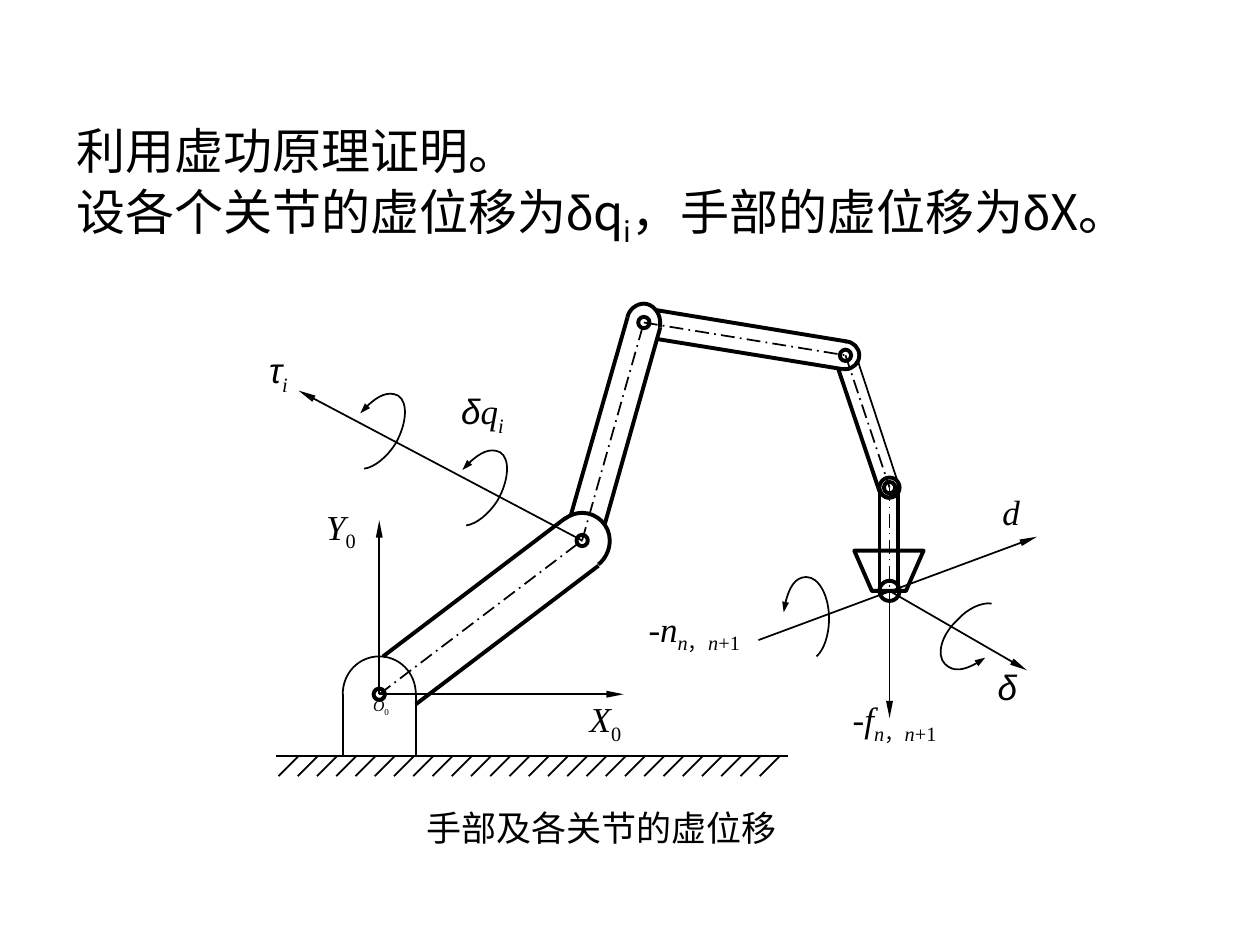
from typing import NamedTuple

from lxml.etree import SubElement
from pptx import Presentation
from pptx.dml.color import RGBColor
from pptx.enum.dml import MSO_LINE
from pptx.enum.shapes import MSO_CONNECTOR, MSO_SHAPE
from pptx.enum.text import MSO_ANCHOR, MSO_AUTO_SIZE, PP_ALIGN
from pptx.oxml.ns import qn
from pptx.util import Inches, Pt

BLACK = RGBColor(0, 0, 0)
SANS, CJK, SERIF = "Arial", "Noto Sans CJK SC", "Times New Roman"
THIN, THICK = 1, 2.25
Point = tuple[float, float]


class Run(NamedTuple):
    text: str
    font: str = SERIF
    italic: bool = False
    sub: bool = False


class Label(NamedTuple):
    box: tuple[float, float, float, float]
    runs: list[Run]
    size: int = 20


class Line(NamedTuple):
    start: Point
    end: Point
    width: float = THIN
    arrow: bool = False
    dashed: bool = False


class Curve(NamedTuple):
    """Start point, then three Bezier points for each segment."""
    points: list[Point]
    width: float = THIN
    arrow: bool = False


class Ring(NamedTuple):
    center: Point
    size: float = 0.09


BASE, ELBOW, TOP = (3.01, 5.51), (4.62, 4.29), (5.11, 2.56)
SHOULDER, WRIST, HAND = (6.71, 2.82), (7.06, 3.87), (7.06, 4.69)
GROUND_Y, HATCH_BOTTOM = 6, 6.16
HATCHES, HATCH_FIRST, HATCH_LAST, HATCH_SLANT = 26, 2.37, 6.19, 0.16

BODY = [
    [Run("利用虚功原理证明。", CJK)],
    [Run("设各个关节的虚位移为", CJK), Run("δ", SANS), Run("q", CJK),
     Run("i", CJK, sub=True), Run("，手部的虚位移为", CJK), Run("δ", SANS), Run("X。", CJK)],
]


def var(text: str, font: str = SERIF) -> Run:
    return Run(text, font, italic=True)


def joint_pair(letter: str) -> list[Run]:
    """A negative quantity with the index n, n+1."""
    return [Run("-"), var(letter), Run("n", italic=True, sub=True), Run("，", sub=True),
            Run("n", italic=True, sub=True), Run("+1", sub=True)]


ZERO, INDEX = Run("0", sub=True), Run("i", italic=True, sub=True)
LABELS = [
    Label((2.09, 6.35, 5.37, 0.59), [Run("手部及各关节的虚位移")]),
    Label((4.45, 5.49, 0.71, 0.67), [var("X"), ZERO]),
    Label((2.35, 3.96, 0.71, 0.62), [var("Y"), ZERO]),
    Label((2.56, 5.47, 0.93, 0.76), [var("O"), ZERO], 9),
    Label((1.85, 2.72, 0.72, 0.76), [var("τ", SANS), INDEX]),
    Label((3.45, 3.04, 0.76, 0.55), [var("δ", SANS), var("q"), INDEX]),
    Label((4.95, 4.77, 1.12, 0.7), joint_pair("n")),
    Label((6.09, 5.49, 2.02, 0.88), joint_pair("f")),
    Label((7.72, 3.84, 0.61, 0.64), [var("d")]),
    Label((7.72, 5.23, 0.55, 0.61), [var("δ", SANS)]),
]

JOINTS = [BASE, ELBOW, TOP, SHOULDER, WRIST, HAND]
AXES = [Line(a, b, dashed=True) for a, b in zip(JOINTS, JOINTS[1:])]
ARROWS = [Line(a, b, arrow=True) for a, b in [
    (HAND, (7.06, 5.7)), (HAND, (8.15, 5.32)), ((6.02, 5.08), (8.23, 4.26)),
    (BASE, (4.95, 5.51)), (BASE, (3.01, 4.13)), (ELBOW, (2.37, 3.1)),
]]
LINK_SIDES = [Line(a, b, THICK) for a, b in [
    ((3.04, 5.21), (4.49, 4.11)), ((3.3, 5.59), (4.75, 4.49)),
    ((4.8, 4.16), (5.24, 2.6)), ((4.53, 4.09), (4.98, 2.52)),
    ((6.72, 2.71), (5.2, 2.46)), ((6.69, 2.93), (5.21, 2.69)),
    ((6.98, 3.9), (6.65, 2.92)),
    ((7.13, 3.88), (7.13, 4.69)), ((6.98, 3.88), (6.98, 4.69)),
]]
FRAME = [
    Line((7.13, 3.84), (6.81, 2.87)), Line((2.19, GROUND_Y), (6.25, GROUND_Y)),
    Line((3.3, 5.51), (3.3, GROUND_Y)), Line((2.72, 5.51), (2.72, GROUND_Y)),
]
HATCH_STEP = (HATCH_LAST - HATCH_FIRST) / (HATCHES - 1)
HATCHING = [Line((x, GROUND_Y), (x - HATCH_SLANT, HATCH_BOTTOM))
            for x in (HATCH_FIRST + i * HATCH_STEP for i in range(HATCHES))]

ROTATION = [(3.7, 4.17), (3.78, 4.16), (3.88, 4.08), (3.95, 3.97),
            (4.04, 3.81), (4.05, 3.64), (3.97, 3.59),
            (3.89, 3.55), (3.77, 3.61), (3.67, 3.73)]
CURVES = [
    Curve(ROTATION, arrow=True),
    Curve([(x - 0.81, y - 0.45) for x, y in ROTATION], arrow=True),
    Curve([(6.48, 5.21), (6.54, 5.16), (6.58, 5.04), (6.58, 4.91),
           (6.58, 4.73), (6.5, 4.58), (6.4, 4.58),
           (6.31, 4.58), (6.24, 4.7), (6.22, 4.86)], arrow=True),
    Curve([(7.87, 4.79), (7.79, 4.78), (7.68, 4.83), (7.6, 4.92),
           (7.47, 5.04), (7.43, 5.2), (7.5, 5.27),
           (7.57, 5.34), (7.7, 5.31), (7.82, 5.22)], arrow=True),
    Curve([(3.3, 5.51), (3.3, 5.34), (3.17, 5.21), (3.01, 5.21),
           (2.85, 5.21), (2.72, 5.34), (2.72, 5.51)]),
    Curve([(4.75, 4.48), (4.8, 4.44), (4.84, 4.37), (4.84, 4.29),
           (4.84, 4.17), (4.74, 4.07), (4.62, 4.07),
           (4.57, 4.07), (4.52, 4.09), (4.48, 4.12)], THICK),
    Curve([(5.24, 2.6), (5.24, 2.59), (5.24, 2.57), (5.24, 2.56),
           (5.24, 2.48), (5.18, 2.41), (5.11, 2.41),
           (5.05, 2.41), (4.99, 2.46), (4.98, 2.52)], THICK),
    Curve([(6.69, 2.93), (6.69, 2.93), (6.7, 2.93), (6.71, 2.93),
           (6.77, 2.93), (6.82, 2.88), (6.82, 2.82),
           (6.82, 2.76), (6.77, 2.71), (6.71, 2.71)], THICK),
    Curve([(6.98, 3.89), (6.99, 3.92), (7.02, 3.95), (7.05, 3.95),
           (7.1, 3.95), (7.13, 3.91), (7.13, 3.87),
           (7.13, 3.86), (7.13, 3.85), (7.13, 3.84)], THICK),
]
GRIPPER = [(6.78, 4.37), (6.92, 4.69), (7.19, 4.69), (7.33, 4.37)]
RINGS = [*(Ring(joint) for joint in JOINTS[:-1]), Ring((7.06, 3.87), 0.16), Ring(HAND, 0.16)]


def add_runs(p, runs: list[Run], size: int) -> None:
    for run in runs:
        r = p.add_run()
        r.text = run.text
        r.font.size, r.font.name, r.font.italic = Pt(size), run.font, run.italic
        r.font.color.rgb = BLACK
        rpr = r.font._element
        SubElement(rpr, qn("a:ea"), typeface=CJK)
        if run.sub:
            rpr.set("baseline", "-25000")


def style_line(sp, width: float, arrow_length: str = "") -> None:
    sp.line.color.rgb = BLACK
    sp.line.width = Pt(width)
    if arrow_length:
        SubElement(sp.line._get_or_add_ln(), qn("a:tailEnd"),
                   type="triangle", w="sm", len=arrow_length)


def add_line(shapes, line: Line) -> None:
    ends = [Inches(v) for v in (*line.start, *line.end)]
    cxn = shapes.add_connector(MSO_CONNECTOR.STRAIGHT, *ends)
    if line.dashed:
        cxn.line.dash_style = MSO_LINE.LONG_DASH_DOT
    style_line(cxn, line.width, "lg" if line.arrow else "")
    SubElement(cxn._element.spPr, qn("a:effectLst"))


def add_outline(shapes, points: list[Point], width: float, close=False, arrow=False):
    start, *rest = [(Inches(x), Inches(y)) for x, y in points]
    builder = shapes.build_freeform(*start)
    builder.add_line_segments(rest, close=close)
    sp = builder.convert_to_shape()
    sp.fill.background()
    sp.shadow.inherit = False
    style_line(sp, width, "med" if arrow else "")
    return sp


def add_curve(shapes, curve: Curve) -> None:
    sp = add_outline(shapes, curve.points, curve.width, arrow=curve.arrow)
    geometry = sp._element.find(".//" + qn("a:path"))
    segments = geometry.findall(qn("a:lnTo"))
    for i in range(0, len(segments), 3):
        bezier = SubElement(geometry, qn("a:cubicBezTo"))
        for segment in segments[i:i + 3]:
            bezier.append(segment[0])
            geometry.remove(segment)


def add_ring(shapes, ring: Ring) -> None:
    left, top = (Inches(v - ring.size / 2) for v in ring.center)
    sp = shapes.add_shape(MSO_SHAPE.OVAL, left, top, Inches(ring.size), Inches(ring.size))
    sp.fill.background()
    sp.shadow.inherit = False
    style_line(sp, THICK)


def add_label(shapes, label: Label) -> None:
    tf = shapes.add_textbox(*(Inches(v) for v in label.box)).text_frame
    tf.word_wrap = True
    p = tf.paragraphs[0]
    p.alignment = PP_ALIGN.CENTER
    add_runs(p, label.runs, label.size)


def fill_body(body) -> None:
    body.left, body.top, body.width, body.height = (Inches(v) for v in (0.51, 0.91, 9.21, 1.25))
    tf = body.text_frame
    tf.auto_size, tf.vertical_anchor = MSO_AUTO_SIZE.NONE, MSO_ANCHOR.TOP
    for i, runs in enumerate(BODY):
        p = tf.add_paragraph() if i else tf.paragraphs[0]
        p.line_spacing, p.space_before = 1.0, Pt(i)
        ppr = p._p.get_or_add_pPr()
        ppr.set("marL", "0")
        ppr.set("indent", "0")
        SubElement(ppr, qn("a:buNone"))
        add_runs(p, runs, 28)


def main() -> None:
    prs = Presentation()
    prs.slide_width, prs.slide_height = Inches(10), Inches(7.5)
    slide = prs.slides.add_slide(prs.slide_layouts[1])
    shapes = slide.shapes
    title = shapes.title._element
    title.getparent().remove(title)
    fill_body(slide.placeholders[1])
    for label in LABELS:
        add_label(shapes, label)
    for line in AXES + ARROWS + LINK_SIDES + FRAME + HATCHING:
        add_line(shapes, line)
    for curve in CURVES:
        add_curve(shapes, curve)
    for ring in RINGS:
        add_ring(shapes, ring)
    add_outline(shapes, GRIPPER, THICK, close=True)
    prs.save("out.pptx")


if __name__ == "__main__":
    main()
